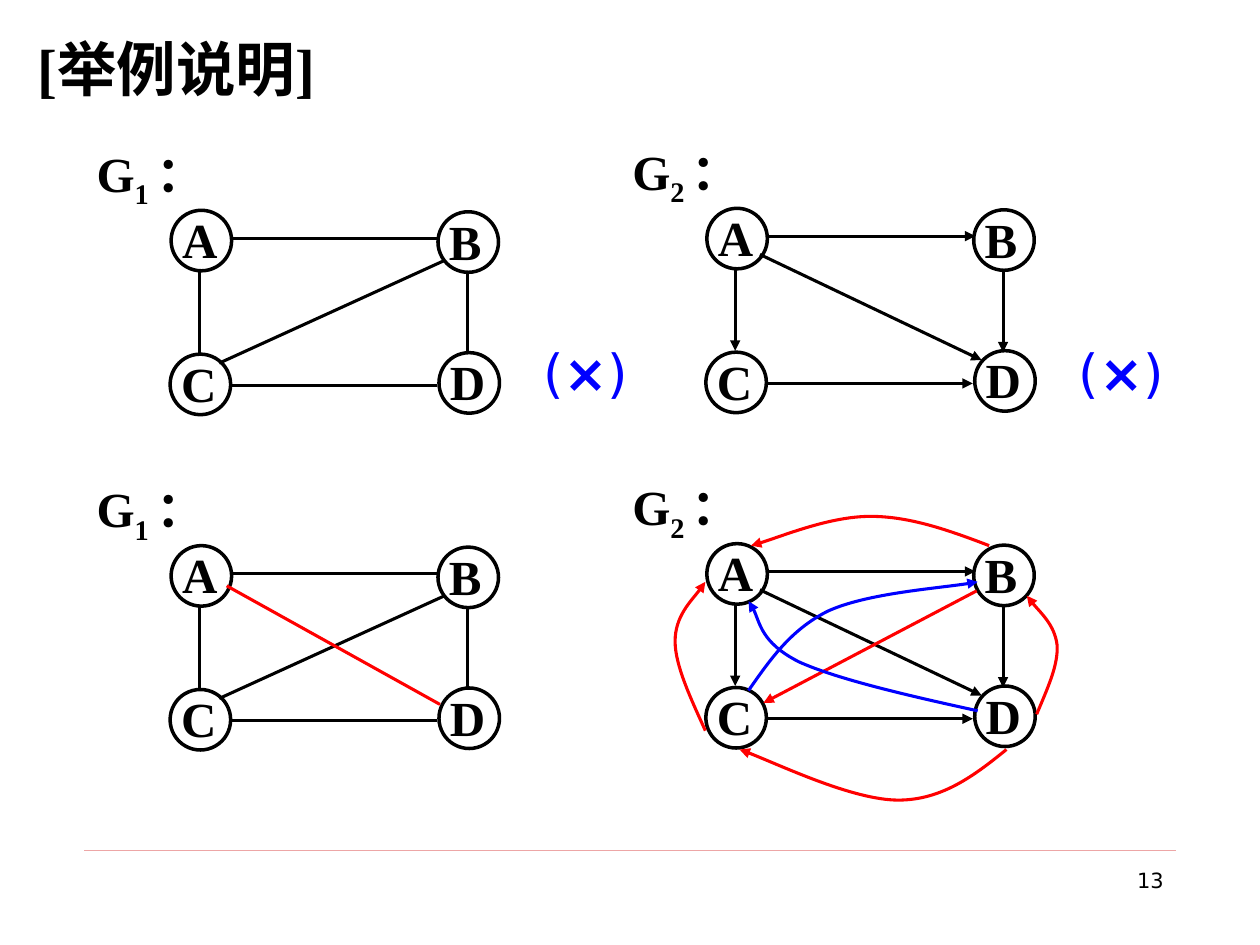
from lxml import etree
from pptx import Presentation
from pptx.dml.color import RGBColor
from pptx.enum.shapes import MSO_CONNECTOR, MSO_SHAPE
from pptx.enum.text import MSO_ANCHOR, PP_ALIGN
from pptx.oxml.ns import qn
from pptx.util import Cm, Pt

STRAIGHT = MSO_CONNECTOR.STRAIGHT
OVAL, RECTANGLE = MSO_SHAPE.OVAL, MSO_SHAPE.RECTANGLE
TOP = MSO_ANCHOR.TOP
LEFT, RIGHT = PP_ALIGN.LEFT, PP_ALIGN.RIGHT
SERIF, SANS = "Times New Roman", "DejaVu Sans"
BLACK, WHITE, RED, BLUE = "000000", "FFFFFF", "FF0000", "0000FF"


def write_text(sp, texts, size, font=SERIF, color=BLACK, bold=True, align=LEFT):
    tf = sp.text_frame
    tf.word_wrap = True
    tf.vertical_anchor = TOP
    p = tf.paragraphs[0]
    p.alignment = align
    for text in texts:
        r = p.add_run()
        r.text = text
        r.font.size = Pt(size)
        r.font.name = font
        r.font.bold = bold
        r.font.color.rgb = RGBColor.from_string(color)
    return p.runs


def style_line(sp, color, width, arrow=False):
    sp.line.color.rgb = RGBColor.from_string(color)
    sp.line.width = Pt(width)
    spPr = sp._element.spPr
    if arrow:
        etree.SubElement(spPr.find(qn("a:ln")), qn("a:tailEnd"), type="triangle")
    etree.SubElement(spPr, qn("a:effectLst"))


prs = Presentation()
prs.slide_width = Cm(25.4)
prs.slide_height = Cm(19.05)
s = prs.slides.add_slide(prs.slide_layouts[6])

rule = s.shapes.add_connector(STRAIGHT, Cm(1.7), Cm(17.15), Cm(23.7), Cm(17.15))
style_line(rule, "CC0000", 0.25)
number = s.shapes.add_textbox(Cm(18.2), Cm(17.36), Cm(5.51), Cm(1.32))
write_text(number, ["13"], 12, SANS, bold=False, align=RIGHT)
title = s.shapes.add_shape(RECTANGLE, Cm(0.51), Cm(0.53), Cm(24.41), Cm(16.62))
title.shadow.inherit = False
title.fill.solid()
title.fill.fore_color.rgb = RGBColor.from_string(WHITE)
title.line.fill.background()
write_text(title, ["[举例说明]"], 34)

nodes = {"B": (8.83, 4.27), "A": (3.45, 4.24), "D": (8.85, 7.11), "C": (3.43, 7.14)}
edges = [
    (4.65, 4.8, 8.86, 4.8),
    (4.62, 7.77, 8.81, 7.77),
    (4.02, 5.44, 4.02, 7.11),
    (9.42, 5.48, 9.42, 7.14),
]
graphs = [
    ("1 ", 0, 0, (4.42, 7.32, 8.94, 5.26), False),
    ("2 ", 10.8, -0.04, (4.52, 5.17, 8.99, 7.3), True),
]
for row_y in (0, 6.76):
    for sub, dx, row_dy, diagonal, directed in graphs:
        dy = row_y + row_dy
        grp = s.shapes.add_group_shape()
        for name, (x, y) in nodes.items():
            sp = grp.shapes.add_shape(OVAL, Cm(x + dx), Cm(y + dy), Cm(1.22), Cm(1.22))
            sp.fill.background()
            style_line(sp, BLACK, 2)
            tb = grp.shapes.add_textbox(
                Cm(x + dx - 0.03), Cm(y + dy - 0.14), Cm(1.83), Cm(1.57))
            write_text(tb, [name], 28)
        for x1, y1, x2, y2 in edges + [diagonal]:
            edge = grp.shapes.add_connector(
                STRAIGHT, Cm(x1 + dx), Cm(y1 + dy), Cm(x2 + dx), Cm(y2 + dy))
            style_line(edge, BLACK, 1.75, directed)
        tb = grp.shapes.add_textbox(Cm(1.7 + dx), Cm(2.77 + dy), Cm(2.79), Cm(1.75))
        runs = write_text(tb, ["G", sub, "："], 28)
        runs[1].font._element.set("baseline", "-25000")

for x in (10.7, 21.5):
    tb = s.shapes.add_textbox(Cm(x), Cm(6.73), Cm(2.79), Cm(1.52))
    runs = write_text(tb, ["(", "×", ")"], 30, SANS, BLUE, False)
    runs[1].font.bold = True

for x1, y1, x2, y2, directed in [
    (4.57, 11.81, 8.87, 14.2, False),
    (19.69, 11.91, 15.39, 14.17, True),
]:
    edge = s.shapes.add_connector(STRAIGHT, Cm(x1), Cm(y1), Cm(x2), Cm(y2))
    style_line(edge, RED, 1.75, directed)

curves = [
    (RED, [(19.94, 11), (19.13, 10.69), (18.34, 10.41), (17.55, 10.41),
           (16.74, 10.41), (15.54, 10.9), (15.14, 11)]),
    (RED, [(14.22, 14.73), (13.92, 14.07), (13.61, 13.41), (13.61, 12.93),
           (13.61, 12.42), (14.12, 11.91), (14.22, 11.73)]),
    (RED, [(20.9, 14.4), (21.11, 13.89), (21.34, 13.41), (21.31, 13),
           (21.26, 12.6), (20.8, 12.17), (20.7, 12.01)]),
    (RED, [(20.29, 15.11), (19.66, 15.62), (19, 16.13), (18.11, 16.13),
           (17.2, 16.13), (15.44, 15.29), (14.91, 15.11)]),
    (BLUE, [(19.71, 14.33), (18.29, 14.02), (16.87, 13.69), (16.1, 13.34),
            (15.34, 12.95), (15.27, 12.32), (15.09, 12.12)]),
    (BLUE, [(15.09, 13.92), (15.52, 13.31), (15.93, 12.7), (16.69, 12.32),
            (17.48, 11.96), (19.2, 11.84), (19.71, 11.73)]),
]
for color, pts in curves:
    start, *controls = [(Cm(x), Cm(y)) for x, y in pts]
    fb = s.shapes.build_freeform(*start)
    fb.add_line_segments(controls, close=False)
    curve = fb.convert_to_shape()
    segments = list(curve._element.iter(qn("a:lnTo")))
    outline = segments[0].getparent()
    for i in range(0, len(segments), 3):
        bezier = etree.SubElement(outline, qn("a:cubicBezTo"))
        for segment in segments[i:i + 3]:
            bezier.append(segment[0])
            outline.remove(segment)
    curve.fill.background()
    style_line(curve, color, 1.75, True)

prs.save("out.pptx")
